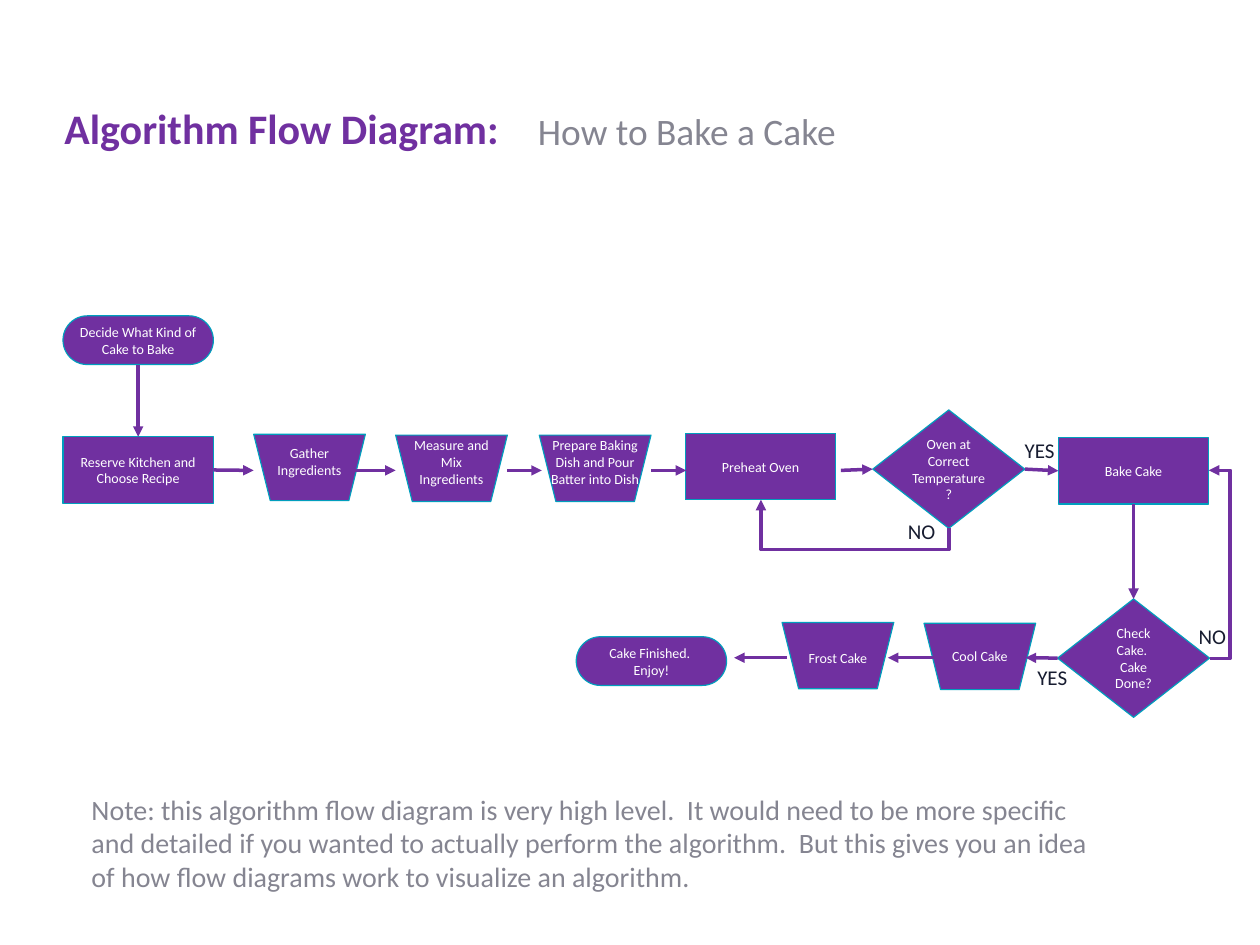
from collections import namedtuple

from lxml import etree
from pptx import Presentation
from pptx import util as u
from pptx.dml.color import RGBColor
from pptx.enum import shapes, text
from pptx.oxml import ns

PURPLE = RGBColor(0x70, 0x30, 0xA0)
TEAL = RGBColor(0x01, 0x9E, 0xBD)
GRAY = RGBColor(0x85, 0x85, 0x91)
DARK = RGBColor(0x17, 0x1C, 0x30)
WHITE = RGBColor(0xFF, 0xFF, 0xFF)

COLUMNS, ROWS = 15, 11.25
CELL = u.Inches(1)  # one column wide and one row high
TOP, LEFT, BOTTOM, RIGHT = range(4)
BEND = 0.25  # how far a loop runs outside the steps it joins

KIND = shapes.MSO_SHAPE
STEP_SIZE = {
    KIND.FLOWCHART_TERMINATOR: (1.79, 0.58),
    KIND.FLOWCHART_PROCESS: (1.79, 0.79),
    KIND.FLOWCHART_DECISION: (1.81, 1.41),
    KIND.TRAPEZOID: (1.33, 0.79),
}


class Box(namedtuple("Box", "left top width height")):
    def inner(self, left, top, width, height):
        return Box(self.left + left, self.top + top, width, height)

    def lengths(self):
        return [round(value * CELL) for value in self]


def write(shape, words, size, color, align=text.PP_ALIGN.CENTER, bold=False):
    frame = shape.text_frame
    frame.word_wrap = True
    frame.text = words
    for paragraph in frame.paragraphs:
        paragraph.alignment = align
        for run in paragraph.runs:
            run.font.name = "Calibri"
            run.font.size = u.Pt(size)
            run.font.bold = bold
            run.font.color.rgb = color


def add_words(slide, box, *style, **options):
    write(slide.shapes.add_textbox(*box.lengths()), *style, **options)


def add_step(slide, area, kind, left, top, words=""):
    box = area.inner(left, top, *STEP_SIZE[kind])
    shape = slide.shapes.add_shape(kind, *box.lengths())
    shape.shadow.inherit = False
    shape.fill.solid()
    shape.fill.fore_color.rgb = PURPLE
    shape.line.color.rgb = TEAL
    shape.line.width = u.Pt(1)
    if words:
        shape.text_frame.vertical_anchor = text.MSO_ANCHOR.MIDDLE
        write(shape, words, 12, WHITE)
    return shape


def add_manual_step(slide, area, left, top, words, text_top):
    """Trapezoid standing on its short side, with upright words over it."""
    add_step(slide, area, KIND.TRAPEZOID, left, top).rotation = 180
    width, height = STEP_SIZE[KIND.TRAPEZOID]
    add_words(slide, area.inner(left, text_top, width, height), words, 12, WHITE)


def add_arrow(slide, area, start, end, kind=shapes.MSO_CONNECTOR.STRAIGHT):
    points = [round(value * CELL) for x, y in (start, end)
              for value in (area.left + x, area.top + y)]
    connector = slide.shapes.add_connector(kind, *points)
    connector.line.color.rgb = PURPLE
    connector.line.width = u.Pt(3)
    line = connector.line._get_or_add_ln()
    etree.SubElement(line, ns.qn("a:tailEnd"), type="triangle")
    etree.SubElement(connector._element.spPr, ns.qn("a:effectLst"))
    return connector


def add_loop(slide, area, start, end, downward=False):
    """Elbow that leaves to the right, or downward, and turns back."""
    length = abs(start[0] - end[0])
    if downward:
        length = abs(start[1] - end[1])
        middle_x, middle_y = ((a + b) / 2 for a, b in zip(start, end))
        # A quarter turn to the left, which the rotation below undoes
        start, end = ((middle_x + y - middle_y, middle_y - x + middle_x)
                      for x, y in (start, end))
    connector = add_arrow(slide, area, start, end, shapes.MSO_CONNECTOR.ELBOW)
    properties = connector._element.spPr
    if downward:
        properties.find(ns.qn("a:xfrm")).set("rot", str(90 * 60000))
    guides = properties.find(ns.qn("a:prstGeom")).find(ns.qn("a:avLst"))
    etree.SubElement(guides, ns.qn("a:gd"), name="adj1",
                     fmla=f"val {round(-BEND / length * 100000)}")


def draw_heading(slide, box):
    right = text.PP_ALIGN.RIGHT
    add_words(slide, box.inner(0, 0, 5.62, box.height),
              "Algorithm Flow Diagram:", 36, PURPLE, right, bold=True)
    add_words(slide, box.inner(2.73, 0.07, 6.9, 0.64),
              "How to Bake a Cake", 32, GRAY, right)


def draw_flow(slide, box):
    upper, lower = 1.84, 4.07  # heights at which the arrows of each row run
    terminator, process = KIND.FLOWCHART_TERMINATOR, KIND.FLOWCHART_PROCESS
    decision = KIND.FLOWCHART_DECISION

    decide = add_step(slide, box, terminator, 0, 0,
                      "Decide What Kind of Cake to Bake")
    reserve = add_step(slide, box, process, 0, 1.44,
                       "Reserve Kitchen and Choose Recipe")
    add_step(slide, box, process, 7.41, 1.4, "Preheat Oven")
    heated = add_step(slide, box, decision, 9.64, 1.12,
                      "Oven at Correct Temperature?")
    heated.text_frame.margin_left = heated.text_frame.margin_right = 0
    bake = add_step(slide, box, process, 11.85, 1.45, "Bake Cake")
    check = add_step(slide, box, decision, 11.84, 3.37,
                     "Check Cake.  Cake Done?")
    add_step(slide, box, terminator, 6.11, 3.82, "Cake Finished.  Enjoy!")

    for left, top, words, text_top in (
            (2.27, 1.41, "Gather Ingredients", 1.48),
            (3.96, 1.42, "Measure and\vMix\vIngredients", 1.39),
            (5.67, 1.42, "Prepare Baking Dish and Pour Batter into Dish", 1.39),
            (8.56, 3.65, "Frost Cake", 3.92),
            (10.25, 3.66, "Cool Cake", 3.9)):
        add_manual_step(slide, box, left, top, words, text_top)

    # Left end, right end, row, and the step and side joined at each end
    for start, end, row, source, target in (
            (1.79, 2.27, upper, (reserve, RIGHT), None),
            (3.42, 3.96, upper, None, None),
            (5.29, 5.7, upper, None, None),
            (7, 7.42, upper, None, None),
            (9.26, 9.64, upper, None, (heated, LEFT)),
            (11.45, 11.85, upper, (heated, RIGHT), (bake, LEFT)),
            (11.84, 11.46, lower, (check, LEFT), None),
            (10.45, 9.82, lower, None, None),
            (8.62, 7.99, lower, None, None),
            (0.89, 0.89, upper, (decide, BOTTOM), (reserve, TOP)),
            (12.74, 12.74, upper, (bake, BOTTOM), (check, TOP))):
        connector = add_arrow(slide, box, (start, row), (end, row))
        if source:
            connector.begin_connect(*source)
        if target:
            connector.end_connect(*target)

    add_loop(slide, box, (10.55, 2.53), (8.31, 2.19), downward=True)
    add_loop(slide, box, (13.65, 4.08), (13.64, upper))

    for left, top, words in ((9.96, 2.36, "NO"), (11.35, 1.4, "YES"),
                             (13.42, 3.61, "NO"), (11.5, 4.1, "YES")):
        add_words(slide, box.inner(left, top, 0.65, 0.4), words, 18, DARK,
                  text.PP_ALIGN.LEFT)


def draw_note(slide, box):
    add_words(slide, box,
              "Note: this algorithm flow diagram is very high level.  It would "
              "need to be more specific and detailed if you wanted to actually "
              "perform the algorithm.  But this gives you an idea of how flow "
              "diagrams work to visualize an algorithm.",
              24, GRAY, text.PP_ALIGN.LEFT)


def main():
    presentation = Presentation()
    presentation.slide_width = round(COLUMNS * CELL)
    presentation.slide_height = round(ROWS * CELL)
    slide = presentation.slides.add_slide(presentation.slide_layouts[6])
    draw_heading(slide, Box(0.42, 1.17, 9.63, 0.71))
    draw_flow(slide, Box(0.75, 3.76, 13.9, 4.78))
    draw_note(slide, Box(0.99, 9.38, 12.19, 1.31))
    presentation.save("out.pptx")


if __name__ == "__main__":
    main()
